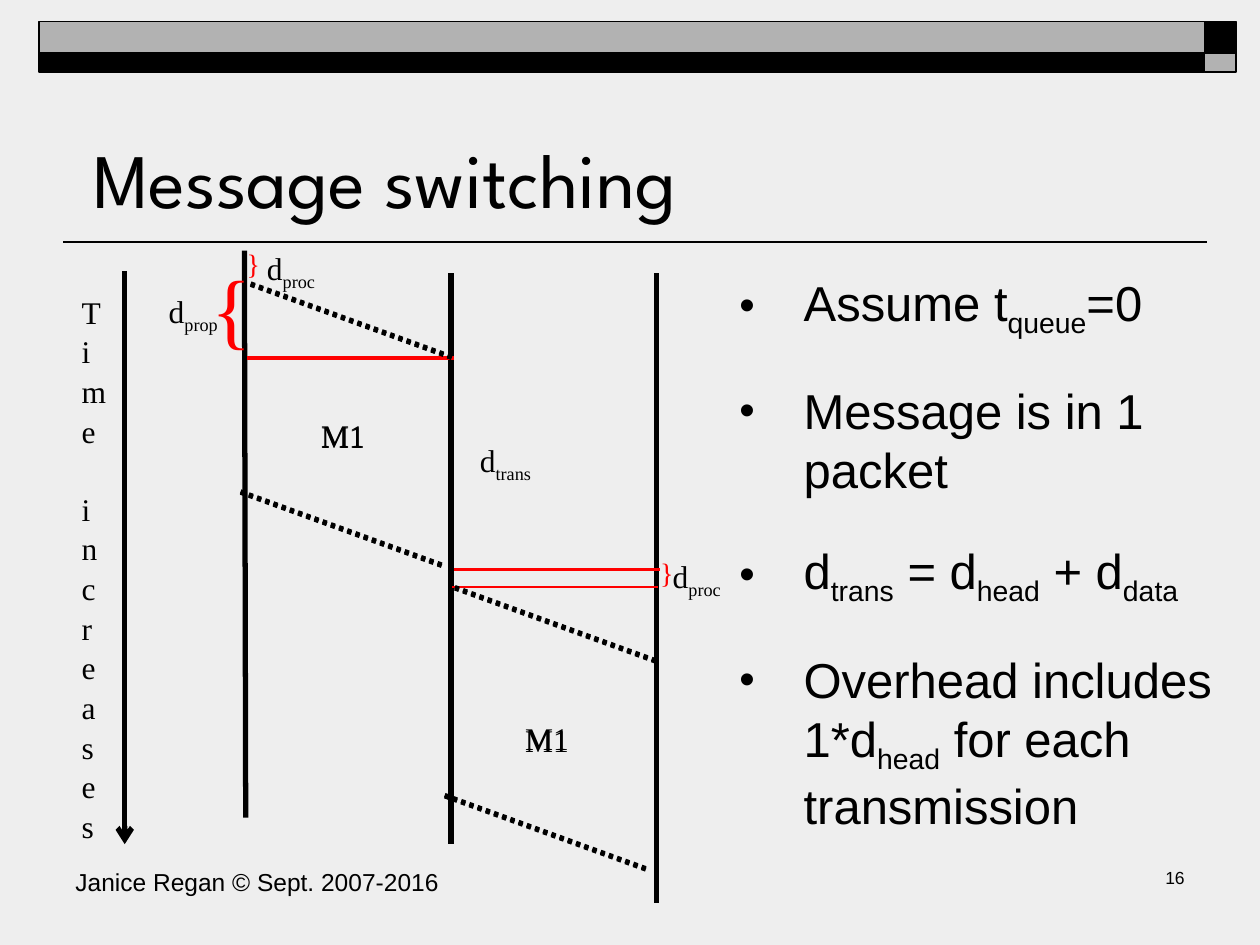
from dataclasses import dataclass

from lxml import etree
from pptx import Presentation
from pptx.dml.color import RGBColor
from pptx.enum.dml import MSO_LINE
from pptx.enum.shapes import MSO_CONNECTOR, MSO_SHAPE
from pptx.enum.text import MSO_ANCHOR, PP_ALIGN
from pptx.oxml.ns import qn
from pptx.util import Inches, Pt

BLACK = RGBColor(0x00, 0x00, 0x00)
GRAY = RGBColor(0xB2, 0xB2, 0xB2)
RED = RGBColor(0xFF, 0x00, 0x00)
PAPER = RGBColor(0xEE, 0xEE, 0xEE)

STRAIGHT = MSO_CONNECTOR.STRAIGHT
RECTANGLE = MSO_SHAPE.RECTANGLE
DOTTED = MSO_LINE.ROUND_DOT
LEFT, RIGHT = PP_ALIGN.LEFT, PP_ALIGN.RIGHT
TOP, BOTTOM = MSO_ANCHOR.TOP, MSO_ANCHOR.BOTTOM

SANS, SERIF, DISPLAY = "Arial", "Times New Roman", "League Spartan"


@dataclass
class Bar:
    left: float
    top: float
    width: float
    height: float
    color: RGBColor


@dataclass
class Line:
    x1: float
    y1: float
    x2: float
    y2: float
    width: float = 3
    color: RGBColor = BLACK
    dotted: bool = False
    arrow: bool = False


@dataclass
class Label:
    """Text box; every second part between | marks is a subscript."""
    paragraphs: list[str]
    left: float
    top: float
    width: float
    height: float
    size: float = 18
    font: str = SERIF
    color: RGBColor = BLACK
    align: PP_ALIGN = LEFT
    anchor: MSO_ANCHOR = TOP
    gap: float = 0
    spacing: float = 1
    bullets: bool = False


def draw_bar(page, bar: Bar) -> None:
    shape = page.shapes.add_shape(RECTANGLE, Inches(bar.left), Inches(bar.top),
                                  Inches(bar.width), Inches(bar.height))
    shape.shadow.inherit = False
    shape.fill.solid()
    shape.fill.fore_color.rgb = bar.color
    shape.line.color.rgb = BLACK
    shape.line.width = Pt(1)


def draw_line(page, line: Line) -> None:
    connector = page.shapes.add_connector(
        STRAIGHT, Inches(line.x1), Inches(line.y1), Inches(line.x2), Inches(line.y2))
    connector.line.color.rgb = line.color
    connector.line.width = Pt(line.width)
    if line.dotted:
        connector.line.dash_style = DOTTED
    if line.arrow:
        etree.SubElement(connector.line._get_or_add_ln(), qn("a:tailEnd"), type="arrow")
    etree.SubElement(connector._element.spPr, qn("a:effectLst"))


def add_bullet(para) -> None:
    properties = para._p.get_or_add_pPr()
    properties.set("marL", str(Inches(0.51)))
    properties.set("indent", str(-Inches(0.51)))
    color = etree.SubElement(properties, qn("a:buClr"))
    etree.SubElement(color, qn("a:srgbClr"), val=str(BLACK))
    etree.SubElement(properties, qn("a:buSzPct"), val="90000")
    etree.SubElement(properties, qn("a:buFont"), typeface=SANS)
    etree.SubElement(properties, qn("a:buChar"), char="•")


def draw_label(page, label: Label) -> None:
    box = page.shapes.add_textbox(Inches(label.left), Inches(label.top),
                                  Inches(label.width), Inches(label.height))
    frame = box.text_frame
    frame.word_wrap = True
    frame.vertical_anchor = label.anchor
    for index, text in enumerate(label.paragraphs):
        para = frame.add_paragraph() if index else frame.paragraphs[0]
        para.alignment = label.align
        if label.spacing != 1:
            para.line_spacing = label.spacing
        if index and label.gap:
            para.space_before = Pt(label.gap)
        if label.bullets:
            add_bullet(para)
        para.font.name = label.font
        para.font.size = Pt(label.size)
        para.font.color.rgb = label.color
        for position, part in enumerate(text.split("|")):
            if part:
                span = para.add_run()
                span.text = part
                if position % 2:
                    span._r.get_or_add_rPr().set("baseline", "-25000")


def draw_message(page, x: float, y: float) -> None:
    """One M1 transmission: first bit, last bit and name, each doubled."""
    for shift in (0, 0.01):
        for top, left in ((y, x), (y + 1.65, x - 0.08)):
            draw_line(page, Line(left, top + shift, left + 1.62, top + 0.59 + shift,
                                 2.5, dotted=True))
        draw_label(page, Label(["M1"], x + 0.46, y + 1 + shift, 0.58, 0.4))


BARS = [
    Bar(9.56, 0.17, 0.25, 0.25, BLACK),
    Bar(0.31, 0.17, 9.25, 0.25, GRAY),
    Bar(0.31, 0.42, 9.25, 0.15, BLACK),
    Bar(9.56, 0.42, 0.25, 0.15, GRAY),
]

LINES = [
    Line(0.5, 1.92, 9.58, 1.92, 1),
    # Time axis and the three nodes
    Line(0.99, 2.15, 0.99, 6.7, arrow=True),
    Line(1.94, 1.99, 1.95, 6.49),
    Line(3.58, 2.17, 3.58, 6.7),
    Line(5.21, 2.17, 5.21, 7.17),
    # Delay marks
    Line(1.96, 2.84, 3.6, 2.84, 1.5, RED),
    Line(1.96, 2.85, 3.6, 2.85, 1.5, RED),
    Line(3.6, 4.52, 5.24, 4.52, 1.5, RED),
    Line(3.59, 4.66, 5.22, 4.66, 1.5, RED),
]

MESSAGES = [(1.99, 2.25), (3.61, 4.66)]

LABELS = [
    Label(["Message switching"], 0.64, 0.58, 8.86, 1.25, 44, DISPLAY, anchor=BOTTOM),
    Label(["Assume t|queue|=0",
           "Message is in 1 packet",
           "d|trans| = d|head| + d|data|",
           "Overhead includes 1*d|head| for each transmission"],
          5.77, 2.11, 4.05, 4.7, 28, SANS, gap=24, bullets=True),
    Label(["Time", "increases"], 0.55, 2.26, 0.28, 4.34, gap=21.7, spacing=1.05),
    # Delay names and braces
    Label(["d|proc|"], 2.02, 1.93, 0.73, 0.4),
    Label(["d|prop|"], 1.24, 2.27, 0.73, 0.4),
    Label(["d|trans|"], 3.71, 3.45, 0.73, 0.4),
    Label(["d|proc|"], 5.24, 4.37, 0.73, 0.4),
    Label(["{"], 1.58, 1.98, 0.65, 0.91, 48, color=RED),
    Label(["}"], 5.14, 4.36, 0.65, 0.37, 16, color=RED),
    Label(["}"], 1.86, 1.91, 0.65, 0.37, 16, color=RED),
    # Footer
    Label(["Janice Regan © Sept. 2007-2016"], 0.5, 6.83, 4.8, 0.5, 14, SANS),
    Label(["16"], 7.42, 6.83, 2.08, 0.5, 10, SANS, align=RIGHT),
]


def main() -> None:
    deck = Presentation()
    deck.slide_width, deck.slide_height = Inches(10), Inches(7.5)
    page = deck.slides.add_slide(deck.slide_layouts[6])
    page.background.fill.solid()
    page.background.fill.fore_color.rgb = PAPER

    for bar in BARS:
        draw_bar(page, bar)
    for line in LINES:
        draw_line(page, line)
    for x, y in MESSAGES:
        draw_message(page, x, y)
    for label in LABELS:
        draw_label(page, label)
    deck.save("out.pptx")


if __name__ == "__main__":
    main()
